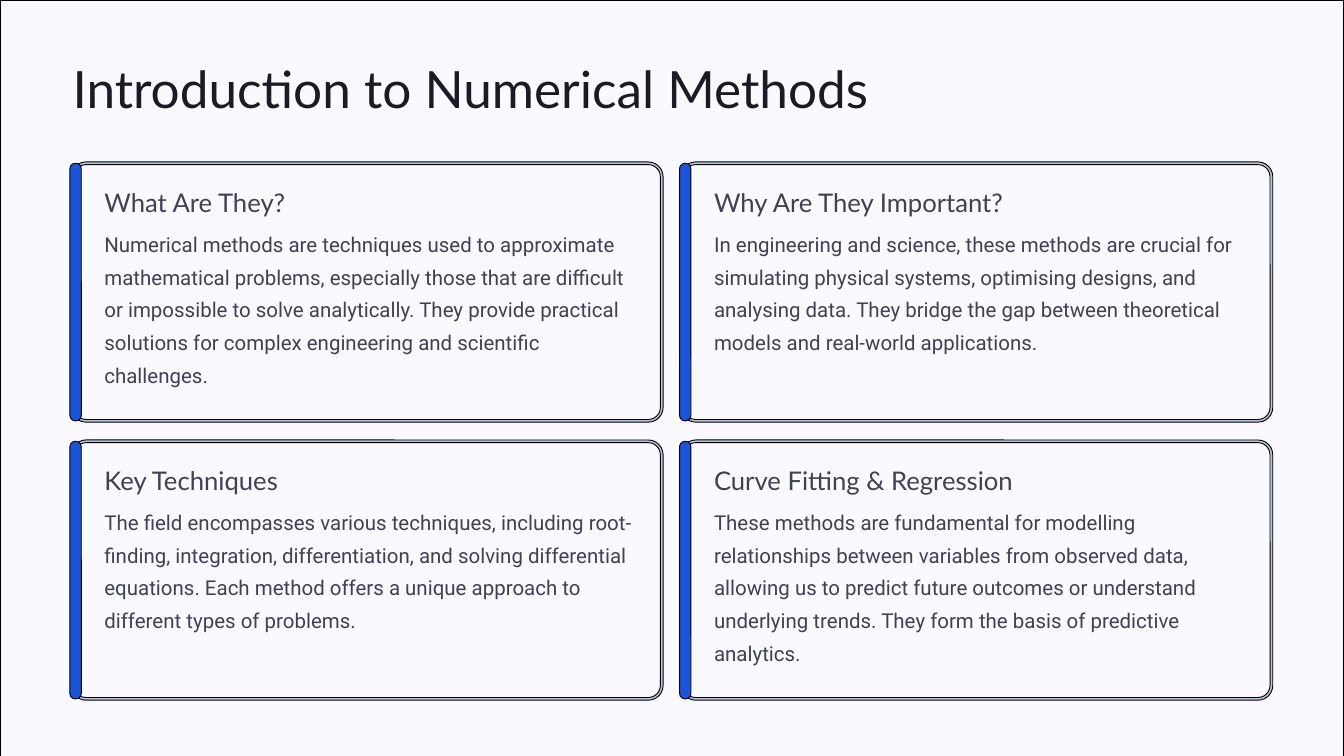
from pptx import Presentation
from pptx import util as u
from pptx.dml.color import RGBColor
from pptx.enum import shapes, text

WIDTH, HEIGHT = 20, 11.25
MARGIN, GAP = 1.08, 0.305
GRID_TOP, GRID_BOTTOM = 2.43, 10.4
COLUMNS, ROWS = 2, 2
PAPER, INK, BODY, BORDER, ACCENT = "F9F9FF", "1B1B27", "404155", "B8C3DF", "1B54DA"

CARDS = [
    ("What Are They?",
     "Numerical methods are techniques used to approximate mathematical problems, "
     "especially those that are difficult or impossible to solve analytically. They "
     "provide practical solutions for complex engineering and scientific challenges."),
    ("Why Are They Important?",
     "In engineering and science, these methods are crucial for simulating physical "
     "systems, optimising designs, and analysing data. They bridge the gap between "
     "theoretical models and real-world applications."),
    ("Key Techniques",
     "The field encompasses various techniques, including root-finding, integration, "
     "differentiation, and solving differential equations. Each method offers a unique "
     "approach to different types of problems."),
    ("Curve Fitting & Regression",
     "These methods are fundamental for modelling relationships between variables from "
     "observed data, allowing us to predict future outcomes or understand underlying "
     "trends. They form the basis of predictive analytics."),
]


def paint(target, colour):
    target.solid()
    target.fore_color.rgb = RGBColor.from_string(colour)


def inches(*lengths):
    return [u.Inches(length) for length in lengths]


def add_panel(s, box, colour=None, radius=0):
    """Outlined rectangle, rounded when a radius is given, hollow without a colour."""
    kind = shapes.MSO_SHAPE.ROUNDED_RECTANGLE if radius else shapes.MSO_SHAPE.RECTANGLE
    sp = s.shapes.add_shape(kind, *inches(*box))
    if radius:
        sp.adjustments[0] = radius / min(box[2:])
    if colour:
        paint(sp.fill, colour)
    else:
        sp.fill.background()
    paint(sp.line.fill, "000000")
    sp.line.width = u.Pt(1)
    sp.shadow.inherit = False


def write(sp, words, font, size, spacing, colour):
    tf = sp.text_frame
    tf.word_wrap = True
    tf.auto_size = text.MSO_AUTO_SIZE.NONE
    tf.vertical_anchor = text.MSO_ANCHOR.TOP
    tf.margin_left = tf.margin_right = tf.margin_top = tf.margin_bottom = 0
    p = tf.paragraphs[0]
    p.text = words
    p.alignment = text.PP_ALIGN.LEFT
    p.line_spacing = u.Pt(spacing)
    p.font.name, p.font.size = font, u.Pt(size)
    paint(p.font.fill, colour)


def add_title(s, box, words):
    sp = s.shapes.title
    sp.left, sp.top, sp.width, sp.height = inches(*box)
    write(sp, words, "Lato", 55, 69.4, INK)


def add_card(s, box, heading, body):
    x, y, w, h = box
    # Double-lined border: a tinted panel with a paper panel inside it
    for grow, colour in ((0.02, BORDER), (-0.02, PAPER)):
        add_panel(s, (x - grow, y - grow, w + 2 * grow, h + 2 * grow), colour, 0.2 + grow)
    # Accent bar on the left edge
    add_panel(s, (x - 0.04, y, 0.17, h), ACCENT, 0.08)
    # Heading and body share one left edge
    left, width = x + 0.054 * w, 0.905 * w
    sp = s.shapes.add_textbox(*inches(left, y + 0.086 * h, width, 0.13 * h))
    write(sp, heading, "Lato", 27.5, 34.4, BODY)
    sp = s.shapes.add_textbox(*inches(left, y + 0.235 * h, width, 0.673 * h))
    write(sp, body, "Roboto", 21.9, 35, BODY)


def add_card_grid(s, box):
    x, y, w, h = box
    card_w = (w - (COLUMNS - 1) * GAP) / COLUMNS
    card_h = (h - (ROWS - 1) * GAP) / ROWS
    for i, (heading, body) in enumerate(CARDS):
        row, column = divmod(i, COLUMNS)
        place = (x + column * (card_w + GAP), y + row * (card_h + GAP), card_w, card_h)
        add_card(s, place, heading, body)


def main():
    prs = Presentation()
    prs.slide_width, prs.slide_height = inches(WIDTH, HEIGHT)
    s = prs.slides.add_slide(prs.slide_layouts[5])
    paint(s.background.fill, PAPER)
    add_panel(s, (0, 0, WIDTH, HEIGHT))  # thin frame at the slide edge
    add_title(s, (MARGIN, 0.81, 0.68 * WIDTH, 0.09 * HEIGHT), "Introduction to Numerical Methods")
    add_card_grid(s, (MARGIN, GRID_TOP, WIDTH - 2 * MARGIN, GRID_BOTTOM - GRID_TOP))
    prs.save("out.pptx")


if __name__ == "__main__":
    main()
